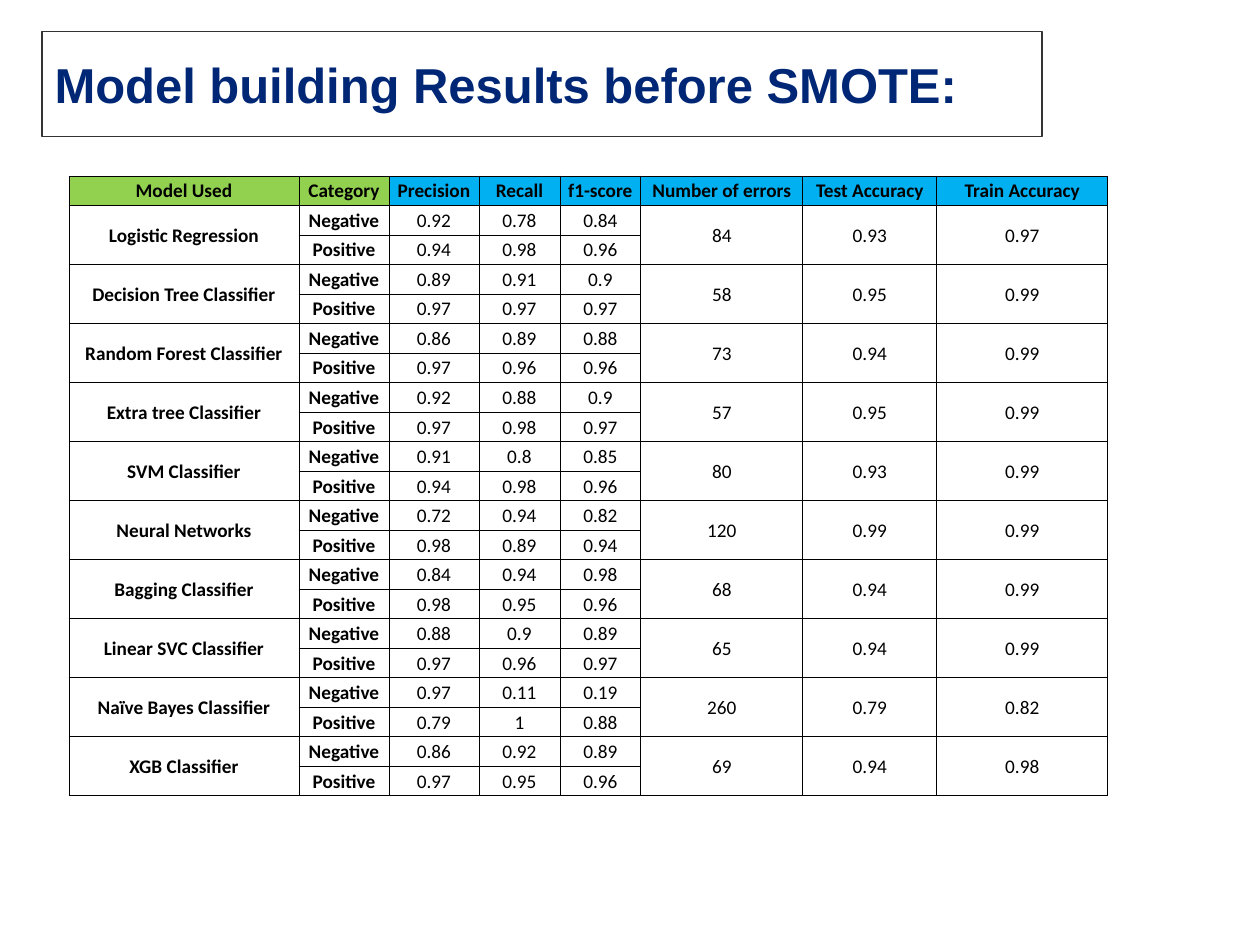
from dataclasses import dataclass
from itertools import accumulate

from lxml import etree
from pptx import Presentation
from pptx.dml.color import RGBColor
from pptx.enum.text import MSO_ANCHOR, MSO_AUTO_SIZE, PP_ALIGN
from pptx.oxml.ns import qn
from pptx.util import Pt

LEFT, CENTER = PP_ALIGN.LEFT, PP_ALIGN.CENTER
MIDDLE = MSO_ANCHOR.MIDDLE
GROW = MSO_AUTO_SIZE.SHAPE_TO_FIT_TEXT
PX_PER_INCH = 126


@dataclass(frozen=True)
class Theme:
    title_font: str = "Arial"
    body_font: str = "Calibri"
    title_size: int = 28
    body_size: int = 11
    navy: str = "002776"
    black: str = "000000"
    white: str = "FFFFFF"
    frame: str = "333333"
    green: str = "92D050"
    blue: str = "00B0F0"
    frame_width: float = 0.75
    grid_width: float = 0.5


HEADERS = ["Model Used", "Category", "Precision", "Recall", "f1-score",
           "Number of errors", "Test Accuracy", "Train Accuracy"]
COL_WIDTHS = [230, 90, 90, 81, 81, 162, 134, 171]
GREEN_COLS = 2
MERGED_COLS = (0, 5, 6, 7)

RESULTS = [
    ("Logistic Regression", "0.92 0.78 0.84", "0.94 0.98 0.96", "84 0.93 0.97"),
    ("Decision Tree Classifier", "0.89 0.91 0.9", "0.97 0.97 0.97", "58 0.95 0.99"),
    ("Random Forest Classifier", "0.86 0.89 0.88", "0.97 0.96 0.96", "73 0.94 0.99"),
    ("Extra tree Classifier", "0.92 0.88 0.9", "0.97 0.98 0.97", "57 0.95 0.99"),
    ("SVM Classifier", "0.91 0.8 0.85", "0.94 0.98 0.96", "80 0.93 0.99"),
    ("Neural Networks", "0.72 0.94 0.82", "0.98 0.89 0.94", "120 0.99 0.99"),
    ("Bagging Classifier", "0.84 0.94 0.98", "0.98 0.95 0.96", "68 0.94 0.99"),
    ("Linear SVC Classifier", "0.88 0.9 0.89", "0.97 0.96 0.97", "65 0.94 0.99"),
    ("Naïve Bayes Classifier", "0.97 0.11 0.19", "0.79 1 0.88", "260 0.79 0.82"),
    ("XGB Classifier", "0.86 0.92 0.89", "0.97 0.95 0.96", "69 0.94 0.98"),
]


def px(n):
    return round(n * 914400 / PX_PER_INCH)


def rgb(color):
    return RGBColor.from_string(color)


def write(tf, text, *, font, size, color, bold=False, align=LEFT):
    p = tf.paragraphs[0]
    p.alignment = align
    r = p.add_run()
    r.text = text
    r.font.name, r.font.size, r.font.bold = font, Pt(size), bold
    r.font.color.rgb = rgb(color)


class SlideBuilder:
    def __init__(self, s, theme):
        self.s = s
        self.theme = theme

    def title(self, text, left, top, width, height):
        t = self.theme
        sp = self.s.shapes.title
        sp.left, sp.top, sp.width, sp.height = map(px, (left, top, width, height))
        sp.fill.solid()
        sp.fill.fore_color.rgb = rgb(t.white)
        sp.line.color.rgb = rgb(t.frame)
        sp.line.width = Pt(t.frame_width)
        tf = sp.text_frame
        tf.word_wrap, tf.auto_size, tf.vertical_anchor = True, GROW, MIDDLE
        write(tf, text, font=t.title_font, size=t.title_size, color=t.navy, bold=True)

    def borders(self, cell):
        tc_pr = cell._tc.get_or_add_tcPr()
        for side in ("lnL", "lnR", "lnT", "lnB"):
            ln = etree.SubElement(tc_pr, qn(f"a:{side}"), w=str(Pt(self.theme.grid_width)))
            fill = etree.SubElement(ln, qn("a:solidFill"))
            etree.SubElement(fill, qn("a:srgbClr"), val=self.theme.black)

    def cell(self, cell, text, bold, fill):
        t = self.theme
        cell.margin_left = cell.margin_right = cell.margin_top = px(1)
        cell.margin_bottom = 0
        cell.vertical_anchor = MIDDLE
        self.borders(cell)
        if fill:
            cell.fill.solid()
            cell.fill.fore_color.rgb = rgb(fill)
        else:
            cell.fill.background()
        if text:
            write(cell.text_frame, text, font=t.body_font, size=t.body_size,
                  color=t.black, bold=bold, align=CENTER)

    def table(self, rows, widths, left, top, height):
        t = self.theme
        frame = self.s.shapes.add_table(len(rows), len(widths), px(left), px(top),
                                        px(sum(widths)), px(height))
        tbl = frame.table
        tbl.first_row = tbl.horz_banding = False
        for col, width in zip(tbl.columns, widths):
            col.width = px(width)
        for row in tbl.rows:
            row.height = px(height / len(rows))
        for i, row in enumerate(rows):
            for j, text in enumerate(row):
                header = i == 0
                fill = (t.green if j < GREEN_COLS else t.blue) if header else None
                self.cell(tbl.cell(i, j), text, header or j < GREEN_COLS, fill)
        for i in range(1, len(rows), 2):
            for j in MERGED_COLS:
                tbl.cell(i, j).merge(tbl.cell(i + 1, j))


def result_rows():
    rows = [HEADERS]
    for model, negative, positive, overall in RESULTS:
        rows.append([model, "Negative", *negative.split(), *overall.split()])
        rows.append(["", "Positive", *positive.split(), "", "", ""])
    return rows


def main():
    prs = Presentation()
    prs.slide_width, prs.slide_height = px(1260), px(945)
    s = prs.slides.add_slide(prs.slide_layouts[5])
    builder = SlideBuilder(s, Theme())
    builder.title("Model building Results before SMOTE:", 42, 48, 1000, 72)
    builder.table(result_rows(), COL_WIDTHS, 69, 176, 620)
    prs.save("out.pptx")


if __name__ == "__main__":
    main()
